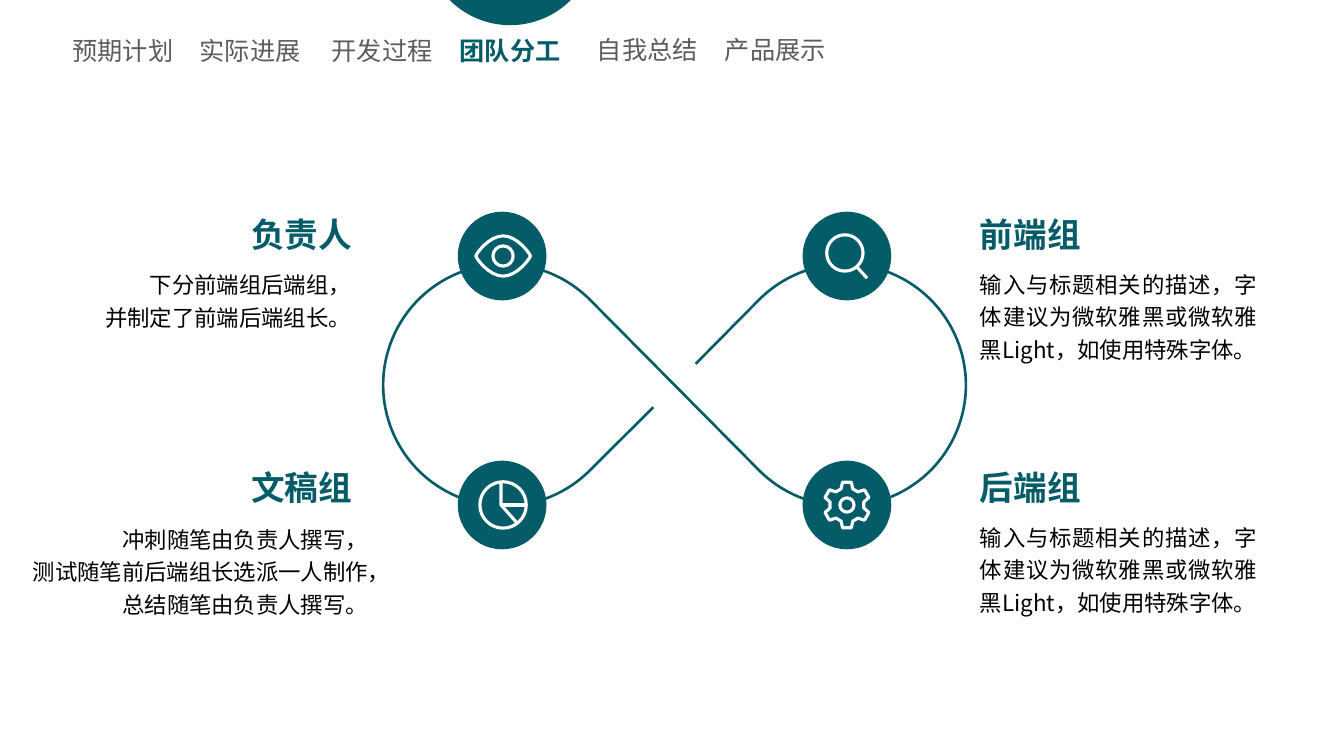
import math

from lxml import etree
from pptx import Presentation
from pptx import util as u
from pptx.dml.color import RGBColor
from pptx.enum import shapes, text
from pptx.oxml.ns import qn

FONT = "Noto Sans CJK SC"
TEAL, BLACK, WHITE = "035C67", "000000", "FFFFFF"
LEFT, CENTER, RIGHT, JUSTIFY = (text.PP_ALIGN.LEFT, text.PP_ALIGN.CENTER,
                                text.PP_ALIGN.RIGHT, text.PP_ALIGN.JUSTIFY)
PLACEHOLDER = "输入与标题相关的描述，字体建议为微软雅黑或微软雅黑Light，如使用特殊字体。"
NAVIGATION = [("预期计划", 0.59, 0.35), ("实际进展", 1.85, 0.35), ("开发过程", 3.16, 0.35),
              ("团队分工", 4.43, 0.35), ("自我总结", 5.79, 0.34), ("产品展示", 7.06, 0.34)]
CURRENT = "团队分工"


def color(value):
    """Return the colour for a hex string."""
    return RGBColor.from_string(value)


def style(shape, fill=None, line=None, width=2.25):
    """Set fill and outline of a shape and remove its shadow."""
    shape.shadow.inherit = False
    if fill:
        shape.fill.solid()
        shape.fill.fore_color.rgb = color(fill)
    else:
        shape.fill.background()
    if line:
        shape.line.color.rgb = color(line)
        shape.line.width = u.Pt(width)
    else:
        shape.line.fill.background()


def bend(node, controls, shape):
    """Turn a straight path segment into a cubic curve."""
    node.tag = qn("a:cubicBezTo")
    for index, (x, y) in enumerate(controls):
        point = etree.Element(qn("a:pt"), x=str(u.Inches(x) - shape.left),
                              y=str(u.Inches(y) - shape.top))
        node.insert(index, point)


def add_outline(slide, *contours, close=False, **look):
    """Add a freeform; each contour is a start and segments of one or three points."""
    builder = None
    for start, *segments in contours:
        corner = [u.Inches(value) for value in start]
        if builder:
            builder.move_to(*corner)
        else:
            builder = slide.shapes.build_freeform(*corner, scale=1.0)
        ends = [(u.Inches(x), u.Inches(y)) for *_, x, y in segments]
        builder.add_line_segments(ends, close=close)
    shape = builder.convert_to_shape()
    nodes = list(shape._element.iter(qn("a:lnTo")))
    segments = [segment for contour in contours for segment in contour[1:]]
    for node, segment in zip(nodes, segments):
        if len(segment) == 6:
            bend(node, (segment[:2], segment[2:4]), shape)
    style(shape, **look)
    return shape


def arc(x, y, radius, start, end, step=45):
    """Return a start point and curve segments along an arc, in degrees."""
    count = round(abs(end - start) / step)
    turn = math.radians((end - start) / count)
    reach = radius * 4 / 3 * math.tan(turn / 4)
    path = []
    for index in range(count + 1):
        angle = math.radians(start) + index * turn
        cosine, sine = math.cos(angle), math.sin(angle)
        point = (x + radius * cosine, y + radius * sine)
        if path:
            path.append((*leaving, point[0] + reach * sine, point[1] - reach * cosine, *point))
        else:
            path.append(point)
        leaving = (point[0] - reach * sine, point[1] + reach * cosine)
    return path


def circle(x, y, radius):
    """Return a full circle of four curves."""
    return arc(x, y, radius, 0, 360, step=90)


def write(frame, lines, size, fill, align, bold=False, spacing=None, alpha=None):
    """Fill a text frame with one paragraph per line."""
    frame.word_wrap = True
    frame.text = "\n".join(lines)
    for paragraph in frame.paragraphs:
        paragraph.alignment = align
        paragraph.line_spacing = spacing
        font = paragraph.font
        font.name, font.size, font.bold = FONT, u.Pt(size), bold
        properties = paragraph._p.pPr.find(qn("a:defRPr"))
        etree.SubElement(properties, qn("a:ea"), typeface=FONT)
        font.color.rgb = color(fill)
        if alpha:
            tint = properties.find(".//" + qn("a:srgbClr"))
            etree.SubElement(tint, qn("a:alpha"), val=str(alpha * 1000))


def add_text(slide, lines, box, *args, inset=True, **options):
    """Add a text box that grows with its text."""
    frame = slide.shapes.add_textbox(*(u.Inches(value) for value in box)).text_frame
    if not inset:
        frame.margin_left = frame.margin_right = frame.margin_top = frame.margin_bottom = 0
    write(frame, lines, *args, **options)
    frame.auto_size = text.MSO_AUTO_SIZE.SHAPE_TO_FIT_TEXT


def add_heading(slide, title, left, top, align):
    """Add a team name in an unfilled outline."""
    right, bottom = left + 1.93, top + 0.54
    shape = add_outline(slide, [(left, top), (right, top), (right, bottom), (left, bottom)],
                        close=True)
    shape.text_frame.vertical_anchor = text.MSO_ANCHOR.TOP
    write(shape.text_frame, [title], 24, TEAL, align, bold=True)


def add_navigation(slide):
    """Add the section names and the cap above the current one."""
    add_outline(slide, arc(5.06, -0.6, 0.85, 45, 135), close=True, fill=TEAL)
    for label, left, top in NAVIGATION:
        look = {"bold": True} if label == CURRENT else {"alpha": 63}
        add_text(slide, [label], (left, top, 1.26, 0.3), 18,
                 TEAL if label == CURRENT else BLACK, CENTER, inset=False, **look)


def add_loop(slide):
    """Add the open figure-eight line and its four discs."""
    add_outline(slide, [(6.9, 3.61), *arc(8.38, 3.82, 1.2, 225, 495),
                        *arc(5, 3.82, 1.2, -45, -315), (6.48, 4.04)], line=TEAL, width=1.88)
    size = u.Inches(0.88)
    for left in (4.54, 7.96):
        for top in (2.1, 4.57):
            disc = slide.shapes.add_shape(shapes.MSO_SHAPE.OVAL, u.Inches(left),
                                          u.Inches(top), size, size)
            style(disc, fill=TEAL)


def add_eye(slide, x, y):
    """Add the eye icon."""
    lens = [(x, y + 0.2)]
    for across, down in ((1, 1), (1, -1), (-1, -1), (-1, 1)):
        edge, tip = y + 0.2 * down, x + 0.27 * across
        near, far = (x + 0.14 * across, edge), (tip, y + 0.02 * down)
        lens.append((*near, *far, tip, y) if across == down else (*far, *near, x, edge))
    add_outline(slide, circle(x, y, 0.1), lens, line=WHITE)


def add_pie(slide, x, y):
    """Add the pie icon."""
    hub = (x - 0.02, y)
    add_outline(slide, [(x + 0.14, y + 0.18), hub, (x - 0.02, y - 0.22)],
                [(x + 0.22, y), hub], circle(x, y, 0.23), line=WHITE)


def add_gear(slide, x, y):
    """Add the six-toothed gear icon."""
    rim = []
    for turn in range(-90, 270, 60):
        for angle, radius in ((-20, 0.17), (-11, 0.23), (11, 0.23), (20, 0.17)):
            radians = math.radians(turn + angle)
            rim.append((x + radius * math.cos(radians), y + radius * math.sin(radians)))
    add_outline(slide, circle(x, y, 0.07), rim, close=True, line=WHITE)


def add_magnifier(slide, x, y):
    """Add the magnifier icon."""
    add_outline(slide, circle(x - 0.02, y - 0.03, 0.18),
                [(x + 0.1, y + 0.11), (x + 0.2, y + 0.22)], line=WHITE)


def main():
    """Build and save the slide."""
    presentation = Presentation()
    presentation.slide_width, presentation.slide_height = u.Inches(13.33), u.Inches(7.5)
    slide = presentation.slides.add_slide(presentation.slide_layouts[6])
    add_navigation(slide)
    add_loop(slide)
    teams = [("前端组", 9.62, 2.07, LEFT, [PLACEHOLDER], (9.62, 2.59, 2.95, 1.07), JUSTIFY),
             ("后端组", 9.62, 4.58, LEFT, [PLACEHOLDER], (9.62, 5.1, 2.95, 1.07), JUSTIFY),
             ("负责人", 1.66, 2.07, RIGHT, ["下分前端组后端组，", "并制定了前端后端组长。"],
              (0.63, 2.59, 2.95, 0.75), RIGHT),
             ("文稿组", 1.66, 4.58, RIGHT,
              ["冲刺随笔由负责人撰写，", "测试随笔前后端组长选派一人制作，", "总结随笔由负责人撰写。"],
              (0.16, 5.12, 3.59, 1.07), RIGHT)]
    for title, left, top, title_align, lines, box, align in teams:
        add_text(slide, lines, box, 16, BLACK, align, spacing=1.2)
        add_heading(slide, title, left, top, title_align)
    add_eye(slide, 4.99, 2.54)
    add_pie(slide, 4.99, 5.01)
    add_gear(slide, 8.4, 5.01)
    add_magnifier(slide, 8.4, 2.54)
    presentation.save("out.pptx")


if __name__ == "__main__":
    main()
